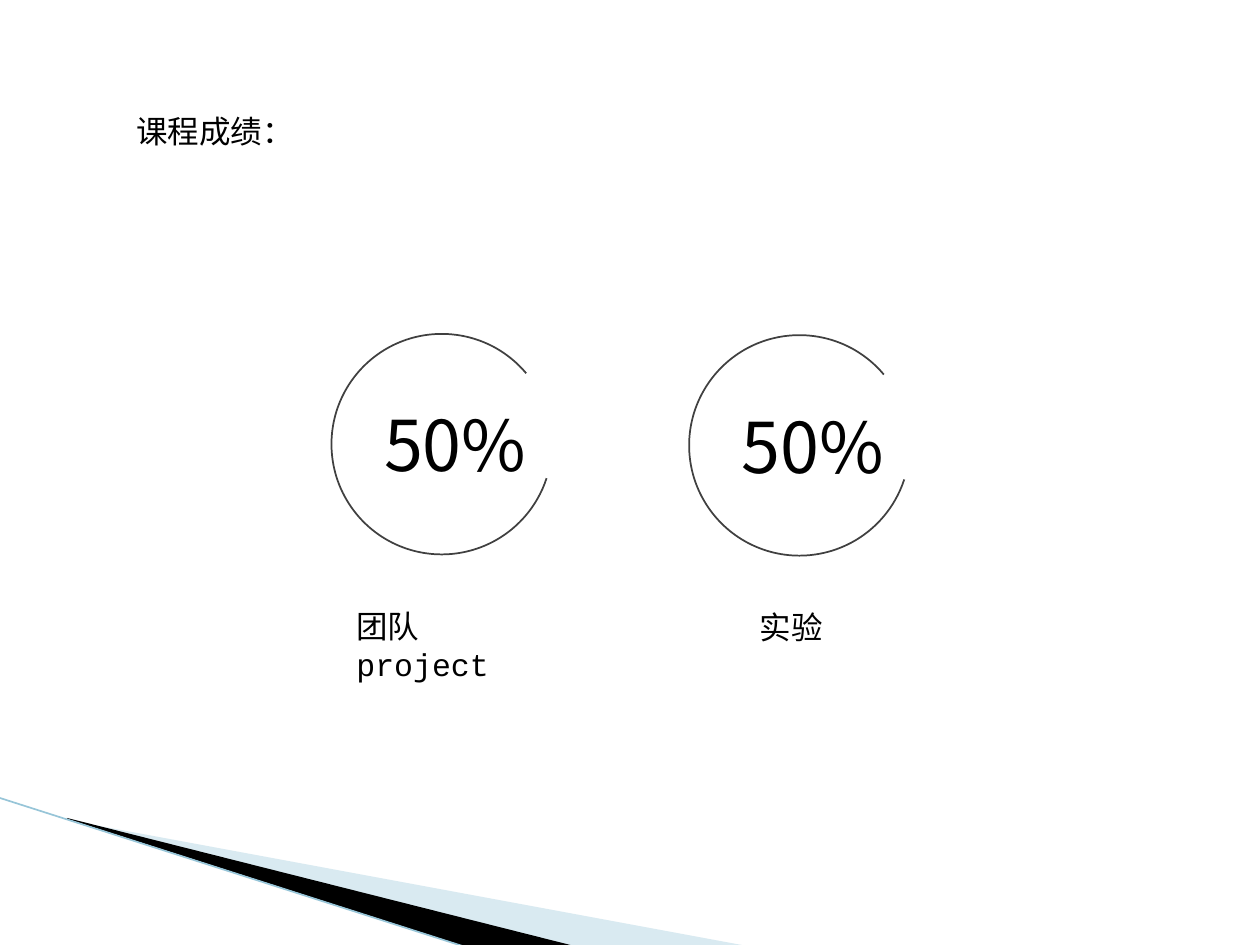
from lxml.etree import SubElement
from pptx import Presentation
from pptx.dml.color import RGBColor
from pptx.enum.shapes import MSO_CONNECTOR as CONN, MSO_SHAPE as SHAPE
from pptx.enum.text import MSO_ANCHOR as ANCHOR, MSO_AUTO_SIZE as FIT, PP_ALIGN as ALIGN
from pptx.oxml.ns import qn
from pptx.util import Pt

COLORS = {"text": "000000", "ring": "404040", "dark": "000000",
          "pale": "A0CBDC", "edge": "97C5D8"}
MONO, SANS = "Courier New", "Noto Sans CJK SC"


def rgb(name):
    """Return the named colour."""
    return RGBColor.from_string(COLORS[name])


def set_text(sp, text, box, size=18, font=MONO, wrap=True):
    """Place a text shape in its box and format its one paragraph."""
    sp.left, sp.top, sp.width, sp.height = (Pt(v) for v in box)
    tf = sp.text_frame
    tf.text = text
    tf.word_wrap = wrap
    tf.auto_size = FIT.NONE
    tf.vertical_anchor = ANCHOR.TOP
    p = tf.paragraphs[0]
    p.alignment = ALIGN.LEFT
    r = p.runs[0]
    r.font.size = Pt(size)
    r.font.name = font
    r.font.color.rgb = rgb("text")
    SubElement(r.font._element, qn("a:ea")).set("typeface", SANS)


def add_text(s, *args, **kwargs):
    """Add a text box."""
    set_text(s.shapes.add_textbox(0, 0, 0, 0), *args, **kwargs)


def add_wedge(s, points, color, alpha=None):
    """Add a filled polygon, with opacity in percent if given."""
    start, *rest = [(Pt(x), Pt(y)) for x, y in points]
    builder = s.shapes.build_freeform(*start)
    builder.add_line_segments(rest, close=True)
    sp = builder.convert_to_shape()
    sp.shadow.inherit = False
    sp.line.fill.background()
    sp.fill.solid()
    sp.fill.fore_color.rgb = rgb(color)
    if alpha:
        clr = sp._element.spPr.find(qn("a:solidFill"))[0]
        SubElement(clr, qn("a:alpha")).set("val", str(alpha * 1000))


def add_corner(s, x, y):
    """Draw the corner wedges and edge line, from the line's start point."""
    add_wedge(s, [(x + 40.3, y + 13), (x + 429.1, y + 85),
                  (x + 329, y + 85), (x + 40.3, y + 12.3)], "pale", 40)
    add_wedge(s, [(x + 38.9, y + 11.6), (x + 329.7, y + 85),
                  (x + 268.5, y + 85.7), (x + 39.6, y + 12.3)], "dark")
    line = s.shapes.add_connector(CONN.STRAIGHT, Pt(x), Pt(y),
                                  Pt(x + 267.8), Pt(y + 85.7))
    line.line.color.rgb = rgb("edge")
    line.line.width = Pt(0.95)
    SubElement(line._element.spPr, qn("a:effectLst"))


def add_share(s, x, y, value, label, label_dx, label_width, wrap):
    """Draw an open ring with its percentage inside and a label below."""
    size = 126
    ring = s.shapes.add_shape(SHAPE.ARC, Pt(x), Pt(y), Pt(size), Pt(size))
    for i, degrees in enumerate((18, 320)):
        ring.adjustments[i] = degrees * 0.6
    ring.shadow.inherit = False
    ring.fill.background()
    ring.line.color.rgb = rgb("ring")
    ring.line.width = Pt(1)
    add_text(s, value, (x + 23, y + 35.3, 96.5, 55.4), size=40, font=SANS)
    add_text(s, label, (x + label_dx, y + 152.6, label_width, 28.8), wrap=wrap)


def build():
    """Build the course grading slide."""
    prs = Presentation()
    prs.slide_width, prs.slide_height = Pt(720), Pt(540)
    s = prs.slides.add_slide(prs.slide_layouts[5])
    add_corner(s, -0.7, 455.8)
    set_text(s.shapes.title, "课程成绩：", (70.6, 60.5, 105.1, 28.8), wrap=False)
    add_share(s, 189.4, 190.8, "50%", "团队project", 7.2, 113, True)
    add_share(s, 393.8, 191.5, "50%", "实验", 33.2, 51.1, False)
    prs.save("out.pptx")


build()
